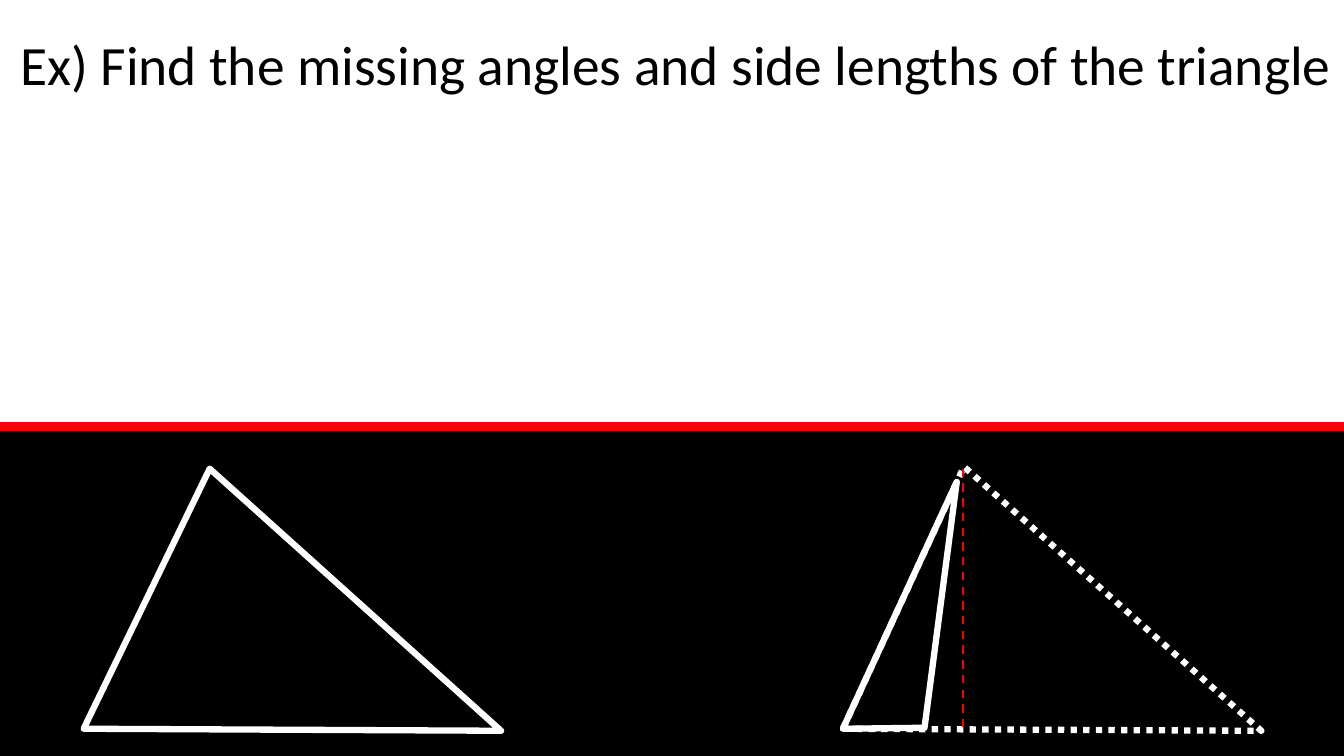
from lxml.etree import SubElement
from pptx import Presentation
from pptx.dml.color import RGBColor
from pptx.enum.dml import MSO_LINE_DASH_STYLE as Dash
from pptx.enum.shapes import MSO_CONNECTOR, MSO_SHAPE
from pptx.enum.text import MSO_ANCHOR, MSO_AUTO_SIZE, PP_ALIGN
from pptx.oxml.ns import qn
from pptx.util import Inches, Pt

WIDTH, HEIGHT = 13.33, 7.5
BOARD_TOP = 4.23
TITLE = "Ex) Find the missing angles and side lengths of the triangle"
BLACK, WHITE, RED = "000000", "FFFFFF", "FF0000"

TRIANGLES = [
    ([(0.83, 7.23), (2.08, 4.65), (4.97, 7.25)], None),
    ([(8.36, 7.23), (9.56, 4.63), (12.51, 7.25)], Dash.ROUND_DOT),
    ([(8.36, 7.23), (9.49, 4.78), (9.17, 7.22)], None),
]
DIVIDER = ((0, BOARD_TOP), (WIDTH, BOARD_TOP), 6, None)
ALTITUDE = ((9.55, 4.65), (9.55, 7.23), 1.5, Dash.DASH)


def color(value):
    return RGBColor.from_string(value)


def style_line(line, value, width, dash):
    line.color.rgb = color(value)
    line.width = Pt(width)
    if dash is not None:
        line.dash_style = dash


def add_title(slide):
    title = slide.shapes.title
    title.left, title.top = Inches(0.1), Inches(0.25)
    title.width, title.height = Inches(13.42), Inches(1.45)
    frame = title.text_frame
    frame.text = TITLE
    frame.word_wrap = True
    frame.auto_size = MSO_AUTO_SIZE.NONE
    frame.vertical_anchor = MSO_ANCHOR.TOP
    frame.margin_top = Inches(0.12)
    paragraph = frame.paragraphs[0]
    paragraph.alignment = PP_ALIGN.LEFT
    paragraph.line_spacing = 0.9
    font = paragraph.runs[0].font
    font.name, font.size = "Calibri", Pt(39.6)
    font.color.rgb = color(BLACK)


def add_board(slide):
    board = slide.shapes.add_shape(
        MSO_SHAPE.RECTANGLE, 0, Inches(BOARD_TOP),
        Inches(WIDTH), Inches(HEIGHT - BOARD_TOP))
    board.shadow.inherit = False
    board.fill.solid()
    board.fill.fore_color.rgb = color(BLACK)
    board.line.fill.background()


def add_line(slide, start, end, width, dash):
    points = [Inches(value) for value in start + end]
    line = slide.shapes.add_connector(MSO_CONNECTOR.STRAIGHT, *points)
    style_line(line.line, RED, width, dash)
    SubElement(line._element.spPr, qn("a:effectLst"))


def add_triangle(slide, corners, dash):
    points = [(Inches(x), Inches(y)) for x, y in corners]
    builder = slide.shapes.build_freeform(*points[0])
    builder.add_line_segments(points[1:], close=True)
    triangle = builder.convert_to_shape()
    triangle.shadow.inherit = False
    triangle.fill.background()
    style_line(triangle.line, WHITE, 4.5, dash)


def main():
    presentation = Presentation()
    presentation.slide_width = Inches(WIDTH)
    presentation.slide_height = Inches(HEIGHT)
    slide = presentation.slides.add_slide(presentation.slide_layouts[5])
    add_title(slide)
    add_board(slide)
    add_line(slide, *DIVIDER)
    for corners, dash in TRIANGLES:
        add_triangle(slide, corners, dash)
    add_line(slide, *ALTITUDE)
    presentation.save("out.pptx")


if __name__ == "__main__":
    main()
